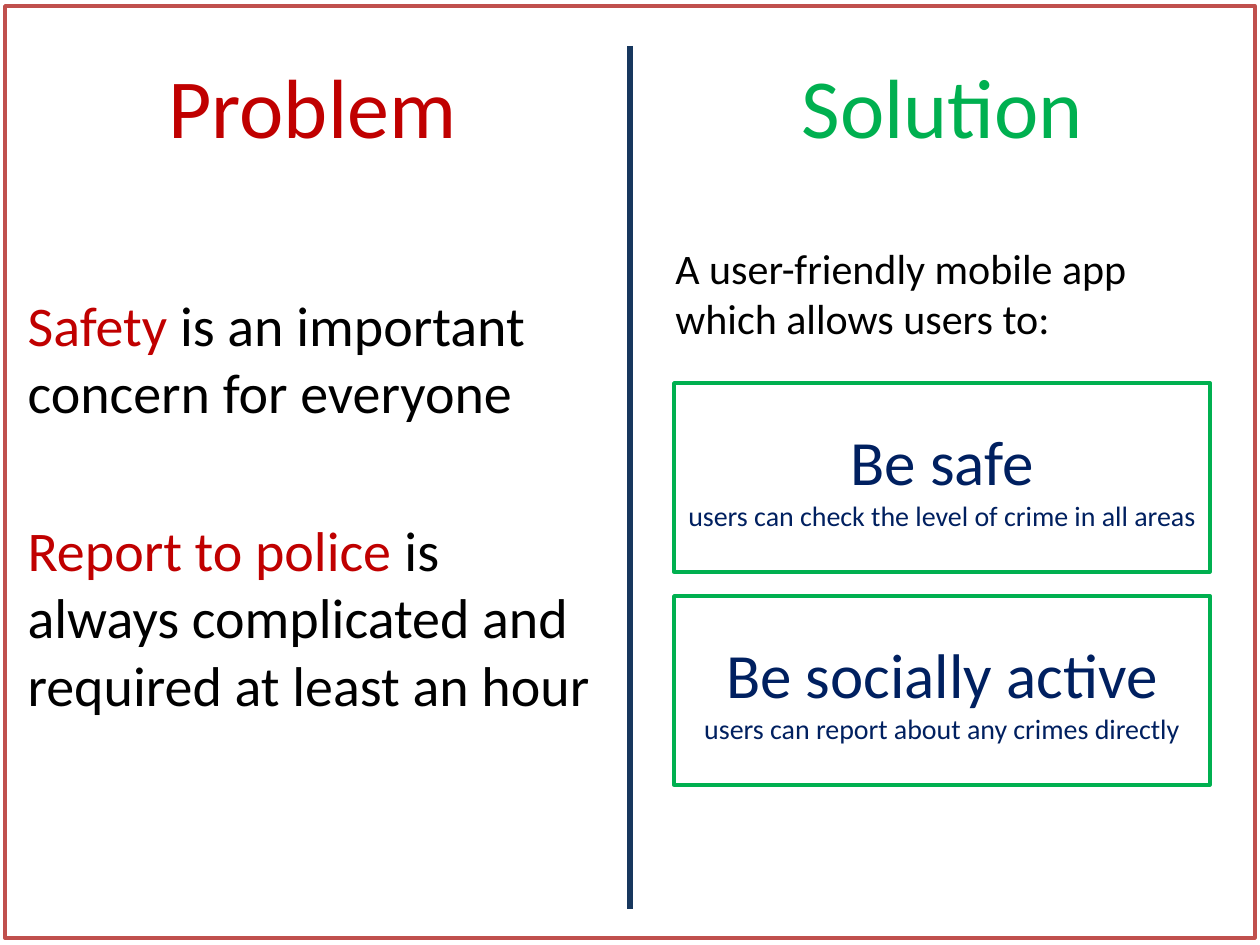
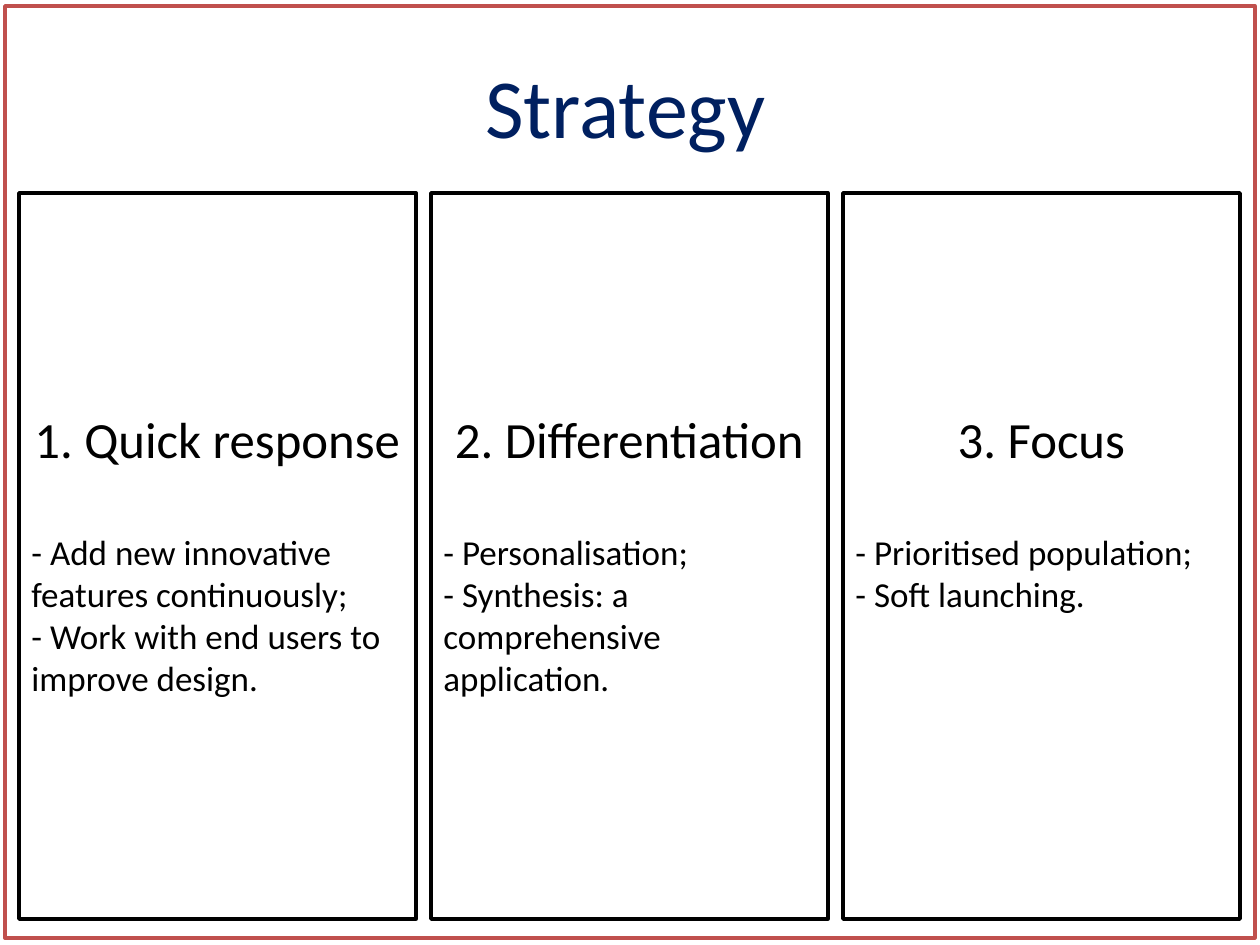
from lxml import etree
from pptx import Presentation
from pptx import util as u
from pptx.dml.color import RGBColor
from pptx.enum import shapes, text
from pptx.oxml.ns import qn

SCALE = 914400 / 126  # EMU in one px
FONT = "Calibri"
RED, GREEN, NAVY = "C00000", "00B050", "002060"
BLACK, WHITE = "000000", "FFFFFF"
FRAME_LINE, DIVIDER = "C0504D", "17375E"
LEFT, CENTER = text.PP_ALIGN.LEFT, text.PP_ALIGN.CENTER
TOP, MIDDLE = text.MSO_ANCHOR.TOP, text.MSO_ANCHOR.MIDDLE


def px(length):
    return u.Emu(round(length * SCALE))


def rgb(color):
    return RGBColor.from_string(color)


class Slides:
    """Holds the shared style and the current slide."""

    def __init__(self):
        self.deck = Presentation()
        self.deck.slide_width = px(1260)
        self.deck.slide_height = px(945)
        self.page = None

    def add_page(self, layout):
        self.page = self.deck.slides.add_slide(self.deck.slide_layouts[layout])
        frame = self.rect(5, 6, 1250, 932, FRAME_LINE)
        # The frame lies behind the placeholders
        self.page.shapes[0].element.addprevious(frame.element)

    def place(self, box, x, y, width, height):
        box.left, box.top, box.width, box.height = map(px, (x, y, width, height))

    def set_frame(self, box, anchor=TOP):
        frame = box.text_frame
        frame.word_wrap = True
        frame.auto_size = text.MSO_AUTO_SIZE.NONE
        frame.vertical_anchor = anchor

    def add_line(self, box, line, size, color=BLACK, align=LEFT, before=0):
        """Adds a paragraph; a line is a string or a list of (text, color)."""
        frame = box.text_frame
        paragraph = frame.add_paragraph() if frame.text else frame.paragraphs[0]
        paragraph.alignment = align
        paragraph.space_before = u.Pt(before)
        paragraph.font.name, paragraph.font.size = FONT, u.Pt(size)
        spans = [(line, color)] if isinstance(line, str) else line
        for words, span_color in spans:
            span = paragraph.add_run()
            span.text = words
            span.font.color.rgb = rgb(span_color)
        return paragraph

    def rect(self, x, y, width, height, line_color, anchor=MIDDLE):
        box = self.page.shapes.add_shape(
            shapes.MSO_SHAPE.RECTANGLE, *map(px, (x, y, width, height)))
        box.shadow.inherit = False
        box.fill.solid()
        box.fill.fore_color.rgb = rgb(WHITE)
        box.line.color.rgb = rgb(line_color)
        box.line.width = u.Pt(2)
        self.set_frame(box, anchor)
        return box

    def text_box(self, x, y, width, height):
        box = self.page.shapes.add_textbox(*map(px, (x, y, width, height)))
        self.set_frame(box)
        return box

    def heading(self, box, words, color, x, width):
        self.place(box, x, 46, width, 118)
        self.set_frame(box, MIDDLE)
        self.add_line(box, words, 48, color, CENTER)

    def plain_list(self, items, size, gap, x, y, width, height):
        box = self.page.placeholders[1]
        self.place(box, x, y, width, height)
        self.set_frame(box)
        for index, item in enumerate(items):
            paragraph = self.add_line(box, item, size, before=gap if index else 0)
            properties = paragraph._p.get_or_add_pPr()
            properties.set("marL", "0")
            properties.set("indent", "0")
            etree.SubElement(properties, qn("a:buNone"))
            # Bullet settings come before the default run properties
            properties.append(properties.find(qn("a:defRPr")))

    def vertical_line(self, x, top, bottom, color):
        line = self.page.shapes.add_connector(
            shapes.MSO_CONNECTOR.STRAIGHT, px(x), px(top), px(x), px(bottom))
        line.line.color.rgb = rgb(color)
        line.line.width = u.Pt(3)
        etree.SubElement(line.element.spPr, qn("a:effectLst"))


def build_problem_and_solution(slides):
    slides.add_page(1)

    # Problem on the left
    slides.heading(slides.page.shapes.title, "Problem", RED, 15, 595)
    concerns = [
        [("Safety ", RED), ("is an important concern for everyone", BLACK)],
        [("Report to police ", RED),
         ("is always complicated and required at least an hour", BLACK)],
    ]
    slides.plain_list(concerns, 32, 52, 15, 284, 595, 616)

    slides.vertical_line(630, 46, 909, DIVIDER)

    # Solution on the right
    slides.heading(slides.text_box(645, 46, 595, 118), "Solution", GREEN, 645, 595)
    intro = slides.text_box(663, 236, 548, 115)
    slides.add_line(intro, "A user-friendly mobile app which allows users to:", 24)
    benefits = [
        ("Be safe", "users can check the level of crime in all areas"),
        ("Be socially active", "users can report about any crimes directly"),
    ]
    for row, (benefit, detail) in enumerate(benefits):
        card = slides.rect(674, 383 + row * 213, 536, 189, GREEN)
        slides.add_line(card, benefit, 36, NAVY, CENTER)
        slides.add_line(card, detail, 16, NAVY, CENTER)


def build_strategy(slides):
    slides.add_page(5)
    slides.heading(slides.page.shapes.title, "Strategy", NAVY, 15, 1221)

    # Three columns whose text starts at the same height
    strategies = [
        ("1. Quick response", "- Add new innovative features continuously;",
         "- Work with end users to improve design."),
        ("2. Differentiation", "- Personalisation;",
         "- Synthesis: a comprehensive application."),
        ("3. Focus", "- Prioritised population;", "- Soft launching."),
    ]
    for index, (name, first, second) in enumerate(strategies):
        column = slides.rect(19 + index * 412, 193, 397, 726, BLACK, TOP)
        column.text_frame.margin_top = px(215)
        slides.add_line(column, name, 29, align=CENTER)
        slides.add_line(column, first, 20, before=35)
        slides.add_line(column, second, 20)


def main():
    slides = Slides()
    build_problem_and_solution(slides)
    build_strategy(slides)
    slides.deck.save("out.pptx")


if __name__ == "__main__":
    main()
